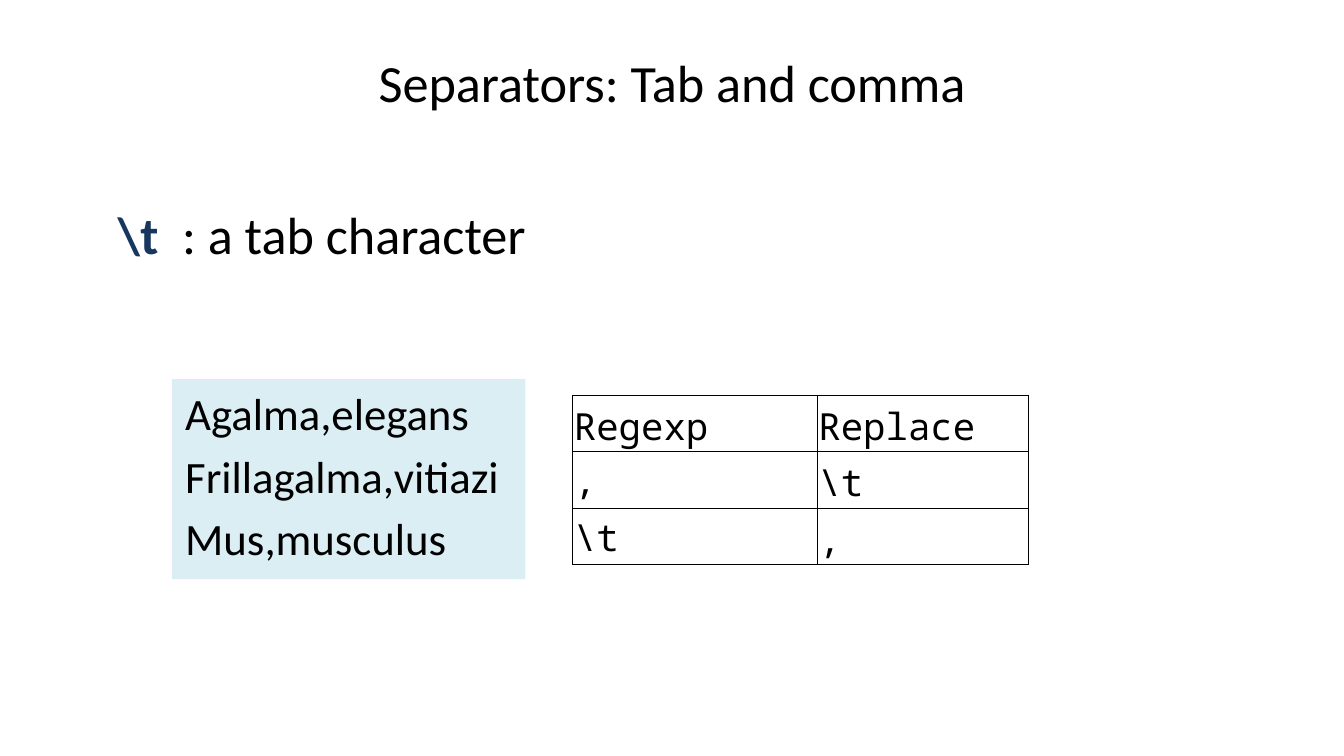
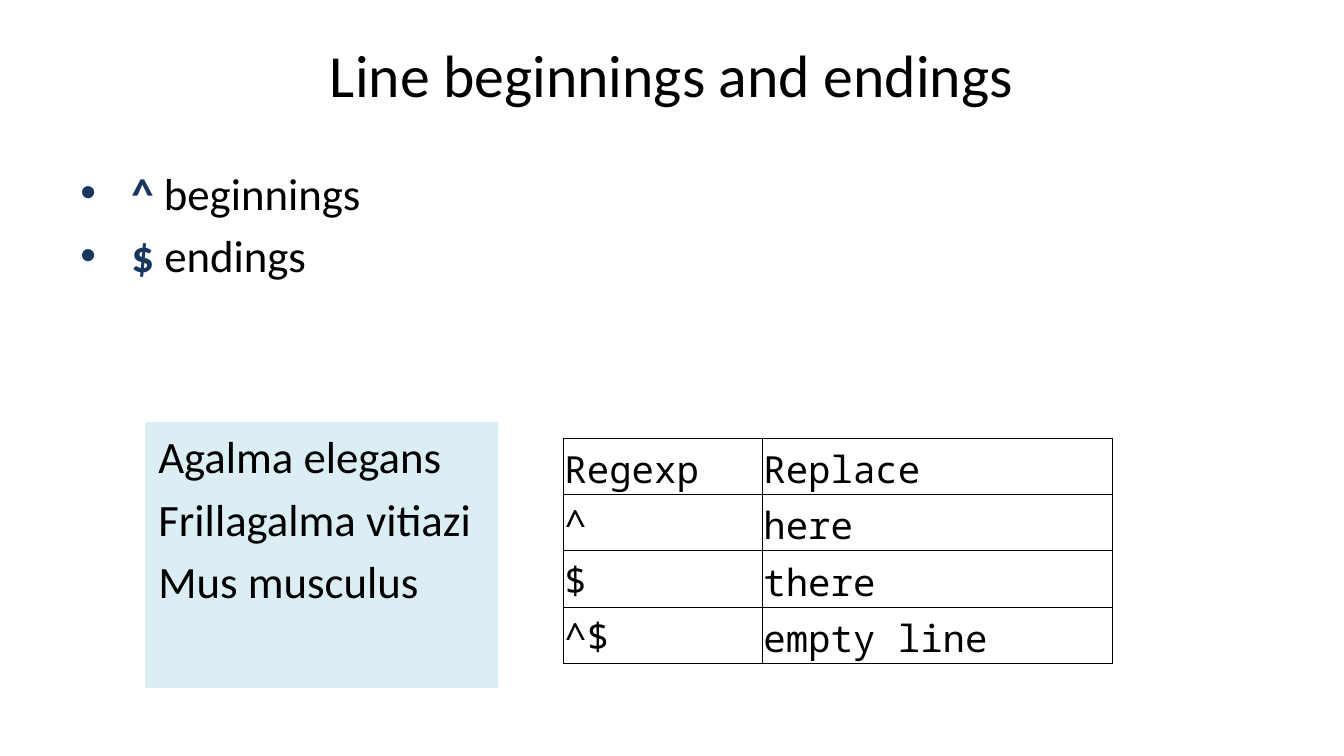
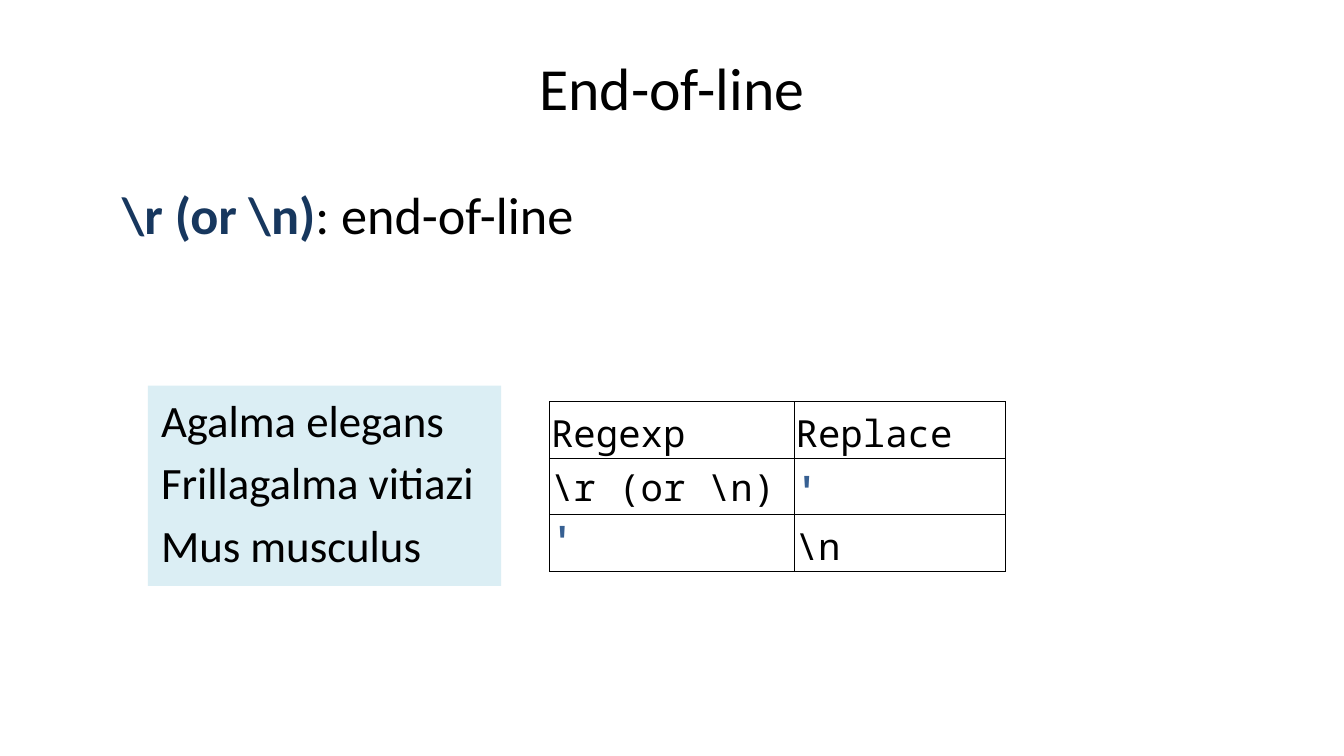
from pptx import Presentation
from pptx.dml.color import RGBColor
from pptx.enum.shapes import MSO_SHAPE
from pptx.enum.text import MSO_ANCHOR, MSO_AUTO_SIZE, PP_ALIGN
from pptx.oxml.ns import qn
from pptx.util import Inches, Pt
from lxml.etree import SubElement

COLORS = {"text": "000000", "code": "17375E", "quote": "376092",
          "sample": "DBEEF4", "border": "000000"}
BODY_FONT, MONO_FONT, QUOTE_FONT = "Calibri", "Noto Sans Mono", "Courier New"
ROW_HEIGHT = 0.42
SAMPLE_WIDTH = 2.63
TABLE_DROP = 0.12  # the table starts this far below the sample box
SPECIES = ["Agalma elegans", "Frillagalma vitiazi", "Mus musculus"]

# Each note is a pair: highlighted code, then its explanation
SLIDES = [
    {"title": "Separators: Tab and comma", "title_top": 0.29, "title_size": 28,
     "notes": [(r"\t", "  : a tab character")],
     "notes_at": (0.78, 1.36, 8.44, 0.65), "bullets": False,
     "sample": [name.replace(" ", ",") for name in SPECIES],
     "sample_at": (1.28, 2.82), "sample_height": 1.49,
     "table_left": 4.26, "columns": (1.82, 1.57),
     "rows": [("Regexp", "Replace"), (",", r"\t"), (r"\t", ",")]},
    {"title": "Line beginnings and endings", "title_top": 0.23, "title_size": 32,
     "notes": [("^", " beginnings"), ("$", " endings")],
     "notes_at": (0.5, 1.18, 9, 1.02), "bullets": True,
     "sample": SPECIES, "sample_at": (1.08, 3.14), "sample_height": 1.98,
     "table_left": 4.19, "columns": (1.48, 2.61),
     "rows": [("Regexp", "Replace"), ("^", "here"), ("$", "there"),
              ("^$", "empty line")]},
    {"title": "End-of-line", "title_top": 0.33, "title_size": 32,
     "notes": [(r"\r (or \n)", ": end-of-line")],
     "notes_at": (0.81, 1.21, 5.65, 0.65), "bullets": False,
     "sample": SPECIES, "sample_at": (1.1, 2.87), "sample_height": 1.49,
     "table_left": 4.09, "columns": (1.82, 1.57),
     "rows": [("Regexp", "Replace"), (r"\r (or \n)", "'"), ("'", r"\n")]},
]


def rgb(name):
    return RGBColor.from_string(COLORS[name])


def add_span(para, text, size=24, font=BODY_FONT, color="text", bold=False):
    span = para.add_run()
    span.text = text
    span.font.size = Pt(size)
    span.font.name = font
    span.font.color.rgb = rgb(color)
    span.font.bold = bold


def next_para(frame, index, space=4.8):
    """Return paragraph number index, spaced from the one above it."""
    para = frame.add_paragraph() if index else frame.paragraphs[0]
    para.space_before = Pt(space if index else 0)
    para.alignment = PP_ALIGN.LEFT
    return para


def add_bullet(para):
    props = para._p.get_or_add_pPr()
    props.set("marL", str(Inches(0.38)))
    props.set("indent", str(Inches(-0.38)))
    SubElement(props, qn("a:buFont")).set("typeface", "Arial")
    SubElement(props, qn("a:buChar")).set("char", "•")


def set_title(page, text, top, size):
    title = page.shapes.title
    title.left, title.top, title.width, title.height = map(
        Inches, (0.5, top, 9, 0.63))
    frame = title.text_frame
    frame.auto_size = MSO_AUTO_SIZE.NONE
    frame.vertical_anchor = MSO_ANCHOR.MIDDLE
    para = frame.paragraphs[0]
    para.alignment = PP_ALIGN.CENTER
    add_span(para, text, size=size)


def add_notes(page, notes, place, bullets):
    frame = page.shapes.add_textbox(*map(Inches, place)).text_frame
    frame.word_wrap = True
    if not bullets:
        frame.auto_size = MSO_AUTO_SIZE.SHAPE_TO_FIT_TEXT
    size = 24 if bullets else 28
    for index, (code, meaning) in enumerate(notes):
        para = next_para(frame, index)
        if bullets:
            add_bullet(para)
        else:
            para.line_spacing = 1.2
        add_span(para, code, size=size, color="code", bold=True)
        add_span(para, meaning, size=size)


def add_sample(page, lines, place, height):
    box = page.shapes.add_shape(MSO_SHAPE.RECTANGLE, *map(
        Inches, (*place, SAMPLE_WIDTH, height)))
    box.shadow.inherit = False
    box.fill.solid()
    box.fill.fore_color.rgb = rgb("sample")
    box.line.fill.background()
    frame = box.text_frame
    frame.word_wrap = True
    frame.vertical_anchor = MSO_ANCHOR.TOP
    for index, line in enumerate(lines):
        add_span(next_para(frame, index), line)


def add_borders(cell):
    props = cell._tc.get_or_add_tcPr()
    for position, side in enumerate(("lnL", "lnR", "lnT", "lnB")):
        line = props.makeelement(qn(f"a:{side}"), {"w": str(Pt(0.5))})
        fill = SubElement(line, qn("a:solidFill"))
        SubElement(fill, qn("a:srgbClr")).set("val", COLORS["border"])
        props.insert(position, line)


def add_rules(page, rows, left, top, columns):
    table = page.shapes.add_table(len(rows), len(columns), *map(
        Inches, (left, top, sum(columns), ROW_HEIGHT * len(rows)))).table
    table.first_row = table.horz_banding = False
    for column, width in zip(table.columns, columns):
        column.width = Inches(width)
    for r, values in enumerate(rows):
        table.rows[r].height = Inches(ROW_HEIGHT)
        for c, value in enumerate(values):
            cell = table.cell(r, c)
            cell.fill.background()
            cell.margin_left = cell.margin_right = cell.margin_top = Inches(0.01)
            cell.margin_bottom = 0
            middle = r > 0 and c == 0
            cell.vertical_anchor = MSO_ANCHOR.MIDDLE if middle else MSO_ANCHOR.BOTTOM
            quote = value == "'"
            add_span(cell.text_frame.paragraphs[0], value, size=20,
                     font=QUOTE_FONT if quote else MONO_FONT,
                     color="quote" if quote else "text", bold=quote)
            add_borders(cell)


def main():
    deck = Presentation()
    deck.slide_width = Inches(10)
    deck.slide_height = deck.slide_width * 9 // 16
    for item in SLIDES:
        page = deck.slides.add_slide(deck.slide_layouts[5])
        set_title(page, item["title"], item["title_top"], item["title_size"])
        add_notes(page, item["notes"], item["notes_at"], item["bullets"])
        add_sample(page, item["sample"], item["sample_at"], item["sample_height"])
        add_rules(page, item["rows"], item["table_left"],
                  item["sample_at"][1] + TABLE_DROP, item["columns"])
    deck.save("out.pptx")


if __name__ == "__main__":
    main()
